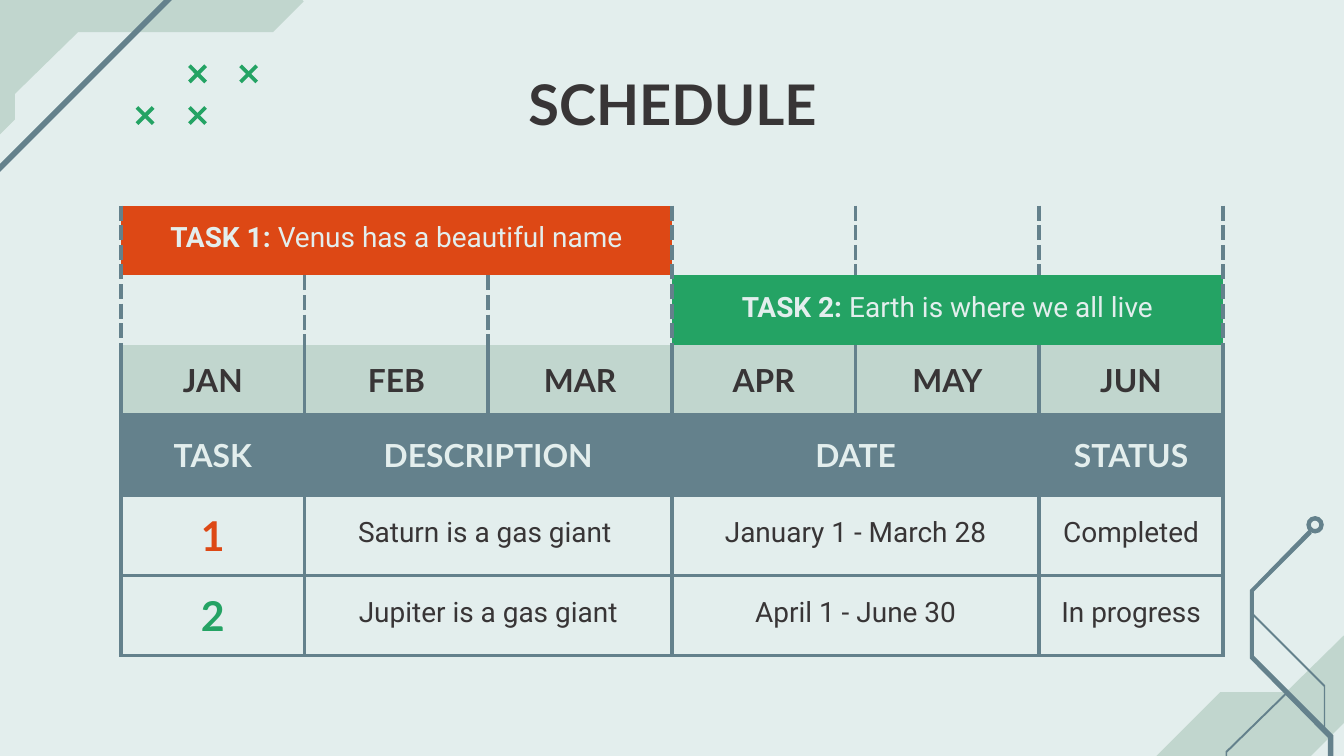
from dataclasses import dataclass

from lxml.etree import SubElement
from pptx import Presentation
from pptx.dml.color import RGBColor
from pptx.enum.shapes import MSO_SHAPE
from pptx.enum.text import MSO_ANCHOR, PP_ALIGN
from pptx.oxml.ns import qn
from pptx.util import Inches, Pt

PALE = RGBColor(0xE3, 0xEE, 0xED)
SAGE = RGBColor(0xC1, 0xD6, 0xCE)
SLATE = RGBColor(0x64, 0x81, 0x8C)
GREEN = RGBColor(0x24, 0xA3, 0x64)
ORANGE = RGBColor(0xDD, 0x48, 0x15)
DARK = RGBColor(0x38, 0x35, 0x36)

Point = tuple[float, float]


@dataclass(frozen=True)
class Style:
    font: str
    size: int
    color: RGBColor
    bold: bool


@dataclass(frozen=True)
class Entry:
    row: int
    col: int
    runs: tuple[tuple[str, Style], ...]
    span: int = 1
    fill: RGBColor | None = None
    top: float = 0.1


@dataclass(frozen=True)
class Outline:
    color: RGBColor
    points: tuple[Point, ...]


TITLE = Style("Lato", 30, DARK, True)
MONTH = Style("Lato", 17, DARK, True)
HEADER = Style("Lato", 17, PALE, True)
BODY = Style("Roboto", 15, DARK, False)
BAR = Style("Roboto", 15, PALE, False)
BAR_BOLD = Style("Roboto", 15, PALE, True)

BOTTOM_CORNER = (
    Outline(SAGE, ((10.12, 4.61), (9.57, 5.15), (9.08, 5.15), (7.98, 6.25),
                   (9.01, 6.25), (9.33, 5.94), (9.44, 5.94), (10.77, 4.61))),
    Outline(SLATE, ((7.37, 7.63), (7.34, 7.6), (8.23, 6.72), (8.23, 6.71), (8.94, 6.71),
                    (9.88, 5.76), (9.88, 5.49), (9.3, 4.9), (9.3, 4.39), (9.74, 3.94),
                    (9.76, 3.97), (9.33, 4.4), (9.33, 4.88), (9.92, 5.47), (9.92, 5.78),
                    (8.95, 6.74), (8.95, 6.75), (8.25, 6.75))),
    Outline(SLATE, ((8.53, 6.73), (9.12, 6.14), (9.12, 5.59), (9.57, 5.15),
                    (9.58, 5.16), (9.13, 5.6), (9.13, 6.15), (8.54, 6.74))),
    Outline(SLATE, ((9.85, 5.43), (9.85, 5.11), (9.31, 4.57), (9.32, 4.56),
                    (9.86, 5.1), (9.86, 5.43))),
)
TOP_CORNER = (
    Outline(SAGE, ((-3.16, 4.16), (-3.18, 4.14), (-0.35, 1.31), (-0.35, 0.24), (1.44, -1.56),
                   (4.07, -4.19), (4.1, -4.17), (1.53, -1.6), (1.53, -0.69), (2.26, 0.01),
                   (2.03, 0.24), (0.58, 0.24), (0.11, 0.7), (0.11, 0.89), (-0.35, 1.35))),
    Outline(SLATE, ((-0.91, 1.39), (-0.11, 1.39), (1.45, -0.17), (1.92, -0.17),
                    (1.92, -0.21), (1.43, -0.21), (-0.13, 1.35), (-0.91, 1.35))),
)
CROSSES = ((1.4, 0.48), (1.78, 0.48), (1.01, 0.79), (1.4, 0.79))
CROSS_BAR = ((0.02, 0), (0.14, 0.12), (0.12, 0.14), (0, 0.02))
CROSS_SIZE = 0.14

TABLE_WIDTH = 8.2
ROW_HEIGHTS = (0.52,) * 3 + (1.79 / 3,) * 3
MONTHS = ("JAN", "FEB", "MAR", "APR", "MAY", "JUN")
HEADINGS = (("TASK", 0, 1), ("DESCRIPTION", 1, 2), ("DATE", 3, 2), ("STATUS", 5, 1))
TASKS = (
    ("Venus has a beautiful name", ORANGE, "Saturn is a gas giant ",
     "January 1 - March 28", "Completed"),
    ("Earth is where we all live", GREEN, "Jupiter is a gas giant",
     "April 1 - June 30", "In progress"),
)


def paint(s, color: RGBColor) -> None:
    """Give a shape a plain fill with neither line nor shadow."""
    s.shadow.inherit = False
    s.fill.solid()
    s.fill.fore_color.rgb = color
    s.line.fill.background()


def draw_outline(shapes, outline: Outline) -> None:
    """Draw a closed filled polygon."""
    first, *rest = [(Inches(x), Inches(y)) for x, y in outline.points]
    builder = shapes.build_freeform(*first)
    builder.add_line_segments(rest, close=True)
    paint(builder.convert_to_shape(), outline.color)


def draw_cross(shapes, left: float, top: float) -> None:
    """Draw a cross from one diagonal bar and its mirror."""
    falling = tuple((left + x, top + y) for x, y in CROSS_BAR)
    rising = tuple((left + CROSS_SIZE - x, top + y) for x, y in CROSS_BAR)
    for points in (falling, rising):
        draw_outline(shapes, Outline(GREEN, points))


def write(tf, runs: tuple[tuple[str, Style], ...]) -> None:
    """Write one centred paragraph of styled runs."""
    p = tf.paragraphs[0]
    p.alignment = PP_ALIGN.CENTER
    for text, style in runs:
        r = p.add_run()
        r.text = text
        r.font.name = style.font
        r.font.size = Pt(style.size)
        r.font.bold = style.bold
        r.font.color.rgb = style.color


def set_borders(cell, sides: str, dash: str) -> None:
    """Draw the named sides of a cell and clear the others."""
    tc_pr = cell._tc.get_or_add_tcPr()
    for side in "LRTB":
        ln = SubElement(tc_pr, qn(f"a:ln{side}"), w=str(Pt(2.25)))
        if side in sides:
            fill = SubElement(ln, qn("a:solidFill"))
            SubElement(fill, qn("a:srgbClr"), val=str(SLATE))
            SubElement(ln, qn("a:prstDash"), val=dash)
        else:
            SubElement(ln, qn("a:noFill"))


def schedule_entries() -> list[Entry]:
    """List the filled cells of the schedule."""
    entries = [Entry(2, i, ((month, MONTH),), fill=SAGE) for i, month in enumerate(MONTHS)]
    entries += [Entry(3, col, ((text, HEADER),), span, SLATE) for text, col, span in HEADINGS]
    for i, (name, color, description, date, status) in enumerate(TASKS):
        label = ((f"TASK {i + 1}:", BAR_BOLD), (f" {name}", BAR))
        number = Style("Lato", 22, color, True)
        entries += [
            Entry(i, 3 * i, label, 3, color, 0.06),
            Entry(4 + i, 0, ((str(i + 1), number),)),
            Entry(4 + i, 1, ((description, BODY),), 2, top=0.06),
            Entry(4 + i, 3, ((date, BODY),), 2, top=0.06),
            Entry(4 + i, 5, ((status, BODY),), top=0.06),
        ]
    return entries


def draw_schedule(shapes) -> None:
    """Draw the table of months and tasks."""
    rows, cols = len(ROW_HEIGHTS), len(MONTHS)
    table = shapes.add_table(rows, cols, Inches(0.9), Inches(1.53),
                             Inches(TABLE_WIDTH), Inches(sum(ROW_HEIGHTS))).table
    table.first_row = table.horz_banding = False
    for row, height in zip(table.rows, ROW_HEIGHTS):
        row.height = Inches(height)
    entries = {(e.row, e.col): e for e in schedule_entries()}
    for e in entries.values():
        if e.span > 1:
            table.cell(e.row, e.col).merge(table.cell(e.row, e.col + e.span - 1))
    for i in range(rows):
        sides = "LR" if i < 2 else "LRB" if i == 2 else "LRTB"
        for j in range(cols):
            cell = table.cell(i, j)
            if cell.is_spanned:
                continue
            set_borders(cell, sides, "dash" if i < 2 else "solid")
            cell.fill.background()
            e = entries.get((i, j))
            if e is None:
                continue
            if e.fill is not None:
                cell.fill.solid()
                cell.fill.fore_color.rgb = e.fill
            cell.vertical_anchor = MSO_ANCHOR.MIDDLE
            cell.margin_left = cell.margin_right = cell.margin_bottom = Inches(0.1)
            cell.margin_top = Inches(e.top)
            write(cell.text_frame, e.runs)


def main() -> None:
    """Build the schedule slide."""
    prs = Presentation()
    prs.slide_width = Inches(10)
    prs.slide_height = prs.slide_width * 9 // 16
    slide = prs.slides.add_slide(prs.slide_layouts[6])
    slide.background.fill.solid()
    slide.background.fill.fore_color.rgb = PALE
    shapes = slide.shapes
    for outline in BOTTOM_CORNER + TOP_CORNER:
        draw_outline(shapes, outline)
    ring = shapes.add_shape(MSO_SHAPE.DONUT, Inches(9.72), Inches(3.84), Inches(0.13), Inches(0.13))
    ring.adjustments[0] = 0.26
    paint(ring, SLATE)
    for left, top in CROSSES:
        draw_cross(shapes, left, top)
    tf = shapes.add_textbox(Inches(0.79), Inches(0.42), Inches(8.43), Inches(0.65)).text_frame
    tf.word_wrap = True
    tf.margin_left = tf.margin_right = tf.margin_top = tf.margin_bottom = Inches(0.1)
    write(tf, (("SCHEDULE", TITLE),))
    draw_schedule(shapes)
    prs.save("out.pptx")


if __name__ == "__main__":
    main()
